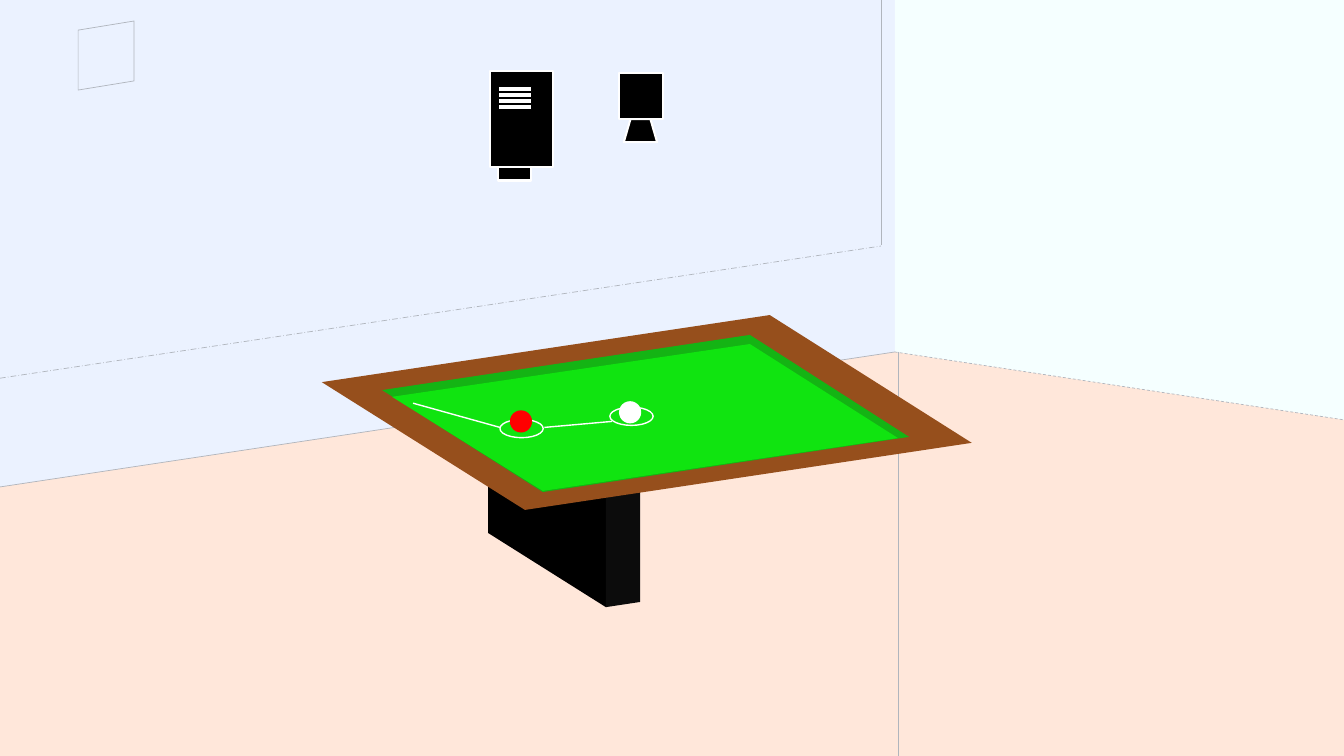
from dataclasses import dataclass

from lxml import etree
from pptx import Presentation
from pptx.dml.color import RGBColor
from pptx.enum.dml import MSO_LINE
from pptx.enum.shapes import MSO_CONNECTOR, MSO_SHAPE as Preset
from pptx.oxml.ns import qn
from pptx.util import Cm, Pt


@dataclass(frozen=True)
class Theme:
    left_wall: str = "EBF2FF"
    right_wall: str = "F5FFFF"
    floor: str = "FFE7DA"
    seam: str = "B0B5BD"
    wood: str = "964F1C"
    cushion: str = "14B414"
    felt: str = "10E410"
    leg_front: str = "0C0C0C"
    black: str = "000000"
    white: str = "FFFFFF"
    red: str = "FF0000"
    hairline: float = 0.5
    thin: float = 1
    outline: float = 1.5


THEME = Theme()


def paint(shape, fill=None, line=None, weight=THEME.thin):
    """Set the fill and outline; None leaves that part empty."""
    shape.shadow.inherit = False
    if fill:
        shape.fill.solid()
        shape.fill.fore_color.rgb = RGBColor.from_string(fill)
    else:
        shape.fill.background()
    if line:
        shape.line.color.rgb = RGBColor.from_string(line)
        shape.line.width = Pt(weight)
    else:
        shape.line.fill.background()
    return shape


def add_preset(shapes, kind, left, top, width, height, **style):
    box = shapes.add_shape(kind, Cm(left), Cm(top), Cm(width), Cm(height))
    return paint(box, **style)


def add_polygon(shapes, corners, **style):
    points = [(Cm(x), Cm(y)) for x, y in corners]
    builder = shapes.build_freeform(*points[0])
    builder.add_line_segments(points[1:], close=True)
    return paint(builder.convert_to_shape(), **style)


def add_line(shapes, start, end, color, weight=THEME.thin, dash=None):
    ends = [Cm(value) for value in (*start, *end)]
    line = shapes.add_connector(MSO_CONNECTOR.STRAIGHT, *ends)
    line.line.color.rgb = RGBColor.from_string(color)
    line.line.width = Pt(weight)
    if dash:
        line.line.dash_style = dash
    etree.SubElement(line._element.spPr, qn("a:effectLst"))


def draw_room(shapes):
    left, corner, right = (0, 12.27), (22.55, 8.87), (33.87, 10.58)
    add_polygon(shapes, [(0, 0), (22.55, 0), corner, left], fill=THEME.left_wall)
    add_polygon(shapes, [(22.55, 0), (33.87, 0), right, corner], fill=THEME.right_wall)
    add_polygon(shapes, [left, corner, right, (33.87, 19.05), (0, 19.05)],
                fill=THEME.floor)

    # Seams between the surfaces
    seams = [
        (left, corner, None),
        (corner, right, MSO_LINE.DASH),
        ((22.63, 8.87), (22.63, 19.05), None),
        ((22.2, 0), (22.2, 6.17), None),
        ((0, 9.53), (22.2, 6.2), MSO_LINE.LONG_DASH_DOT),
    ]
    for start, end, dash in seams:
        add_line(shapes, start, end, THEME.seam, THEME.hairline, dash)

    # Wall panel
    add_polygon(shapes, [(1.97, 0.76), (3.38, 0.53), (3.38, 2.04), (1.97, 2.27)],
                fill=THEME.left_wall, line=THEME.seam, weight=THEME.hairline)


def draw_table(shapes):
    # Leg, frame, cushions and felt, from back to front
    surfaces = [
        ([(12.3, 11.9), (15.27, 12.2), (15.27, 15.3), (12.3, 13.43)], THEME.black),
        ([(15.27, 12.2), (16.13, 12), (16.13, 15.17), (15.27, 15.3)], THEME.leg_front),
        ([(8.11, 9.63), (19.4, 7.94), (24.49, 11.16), (13.23, 12.85)], THEME.wood),
        ([(9.63, 9.83), (18.9, 8.44), (22.91, 11.01), (13.68, 12.4)], THEME.cushion),
        ([(9.88, 10), (18.9, 8.67), (22.63, 11.04), (13.68, 12.37)], THEME.felt),
    ]
    for corners, color in surfaces:
        add_polygon(shapes, corners, fill=color)


def draw_balls(shapes):
    for left, top in [(15.37, 10.26), (12.6, 10.57)]:
        add_preset(shapes, Preset.OVAL, left, top, 1.09, 0.46, line=THEME.white)
    for left, top, color in [(12.85, 10.34, THEME.red), (15.6, 10.11, THEME.white)]:
        add_preset(shapes, Preset.OVAL, left, top, 0.56, 0.56, fill=color)

    # Path of the shot
    add_line(shapes, (13.72, 10.77), (15.42, 10.62), THEME.white)
    add_line(shapes, (10.41, 10.16), (12.6, 10.77), THEME.white)


def draw_devices(shapes):
    casing = dict(fill=THEME.black, line=THEME.white, weight=THEME.outline)

    # Monitor on its stand
    monitor = shapes.add_group_shape().shapes
    add_preset(monitor, Preset.RECTANGLE, 15.6, 1.85, 1.12, 1.14, **casing)
    stand = add_preset(monitor, Preset.FLOWCHART_MANUAL_OPERATION,
                       15.72, 3, 0.84, 0.58, **casing)
    stand.rotation = 180

    # Cabinet with its vents
    cabinet = shapes.add_group_shape().shapes
    add_preset(cabinet, Preset.RECTANGLE, 12.34, 1.8, 1.6, 2.41, **casing)
    add_preset(cabinet, Preset.RECTANGLE, 12.55, 4.22, 0.84, 0.33, **casing)
    for row in range(4):
        add_preset(cabinet, Preset.RECTANGLE, 12.55, 2.18 + 0.15 * row, 0.84, 0.13,
                   fill=THEME.white, line=THEME.black)


def main():
    deck = Presentation()
    deck.slide_width, deck.slide_height = Cm(33.87), Cm(19.05)
    page = deck.slides.add_slide(deck.slide_layouts[6])
    for draw in (draw_room, draw_table, draw_balls, draw_devices):
        draw(page.shapes)
    deck.save("out.pptx")


main()
